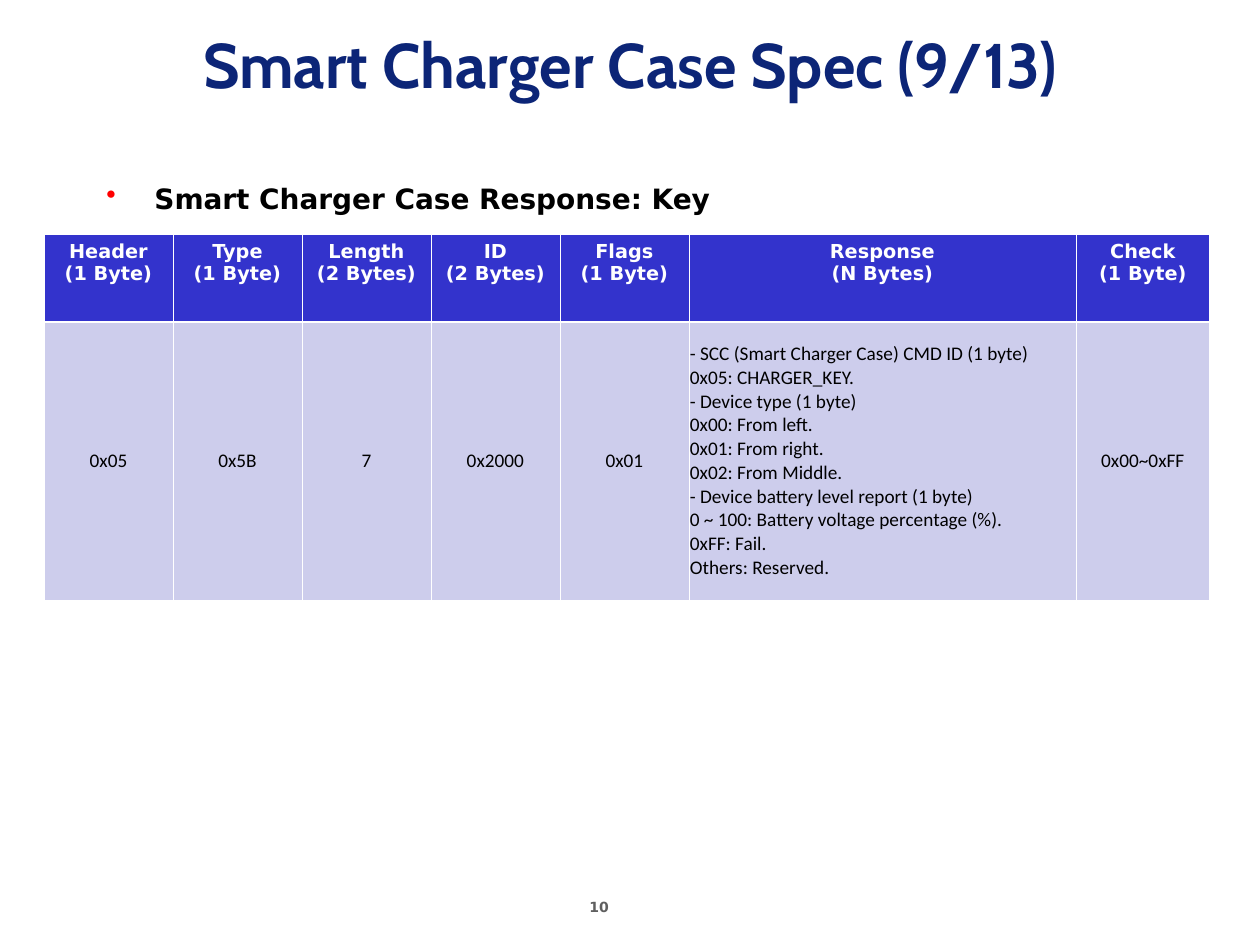
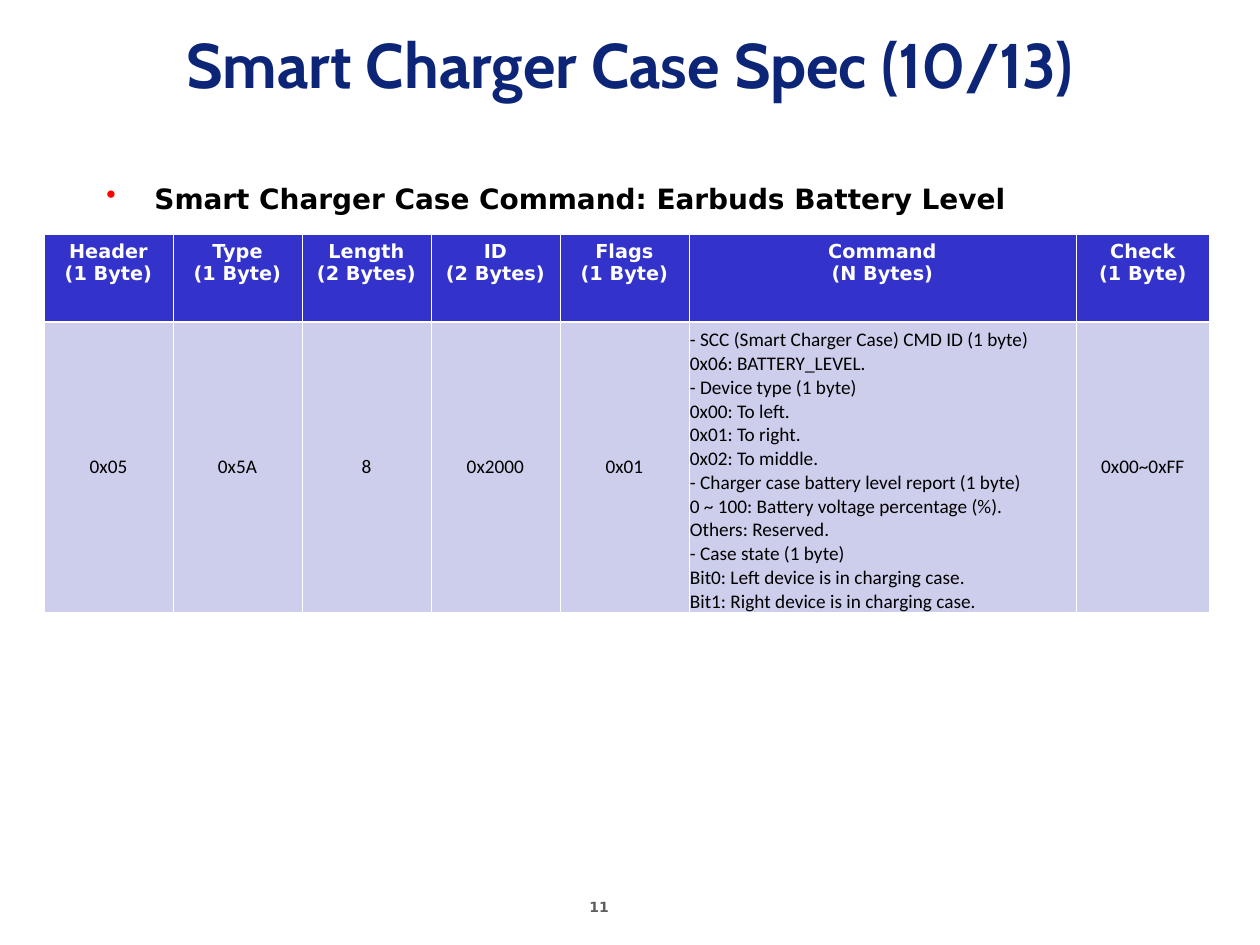
"""Build two slides that specify smart charger case messages."""
from lxml.etree import SubElement
from pptx import Presentation
from pptx.dml.color import RGBColor
from pptx.enum.text import MSO_ANCHOR, PP_ALIGN
from pptx.oxml import parse_xml
from pptx.oxml.ns import nsdecls, qn
from pptx.util import Pt

PX_PER_INCH = 126
NAVY = RGBColor(0x0C, 0x25, 0x77)
BLUE = RGBColor(0x33, 0x33, 0xCC)
LAVENDER = RGBColor(0xCD, 0xCD, 0xEC)
WHITE = RGBColor(0xFF, 0xFF, 0xFF)
BLACK = RGBColor(0x00, 0x00, 0x00)
RED = RGBColor(0xFF, 0x00, 0x00)
GRAY = RGBColor(0x5F, 0x5F, 0x5F)
SANS = "DejaVu Sans"
THIN, THICK = Pt(0.45), Pt(1.47)
COLUMN_WIDTHS = [129] * 5 + [387, 134]
ROW_HEIGHTS = [88, 278]
RESPONSE_COLUMN = 5

MESSAGES = [
    {
        "title": "Smart Charger Case Spec (9/13)",
        "topic": "Smart Charger Case Response: Key",
        "page": "10", "payload": "Response", "type": "0x5B", "length": "7",
        "details": [
            "- SCC (Smart Charger Case) CMD ID (1 byte)",
            "0x05: CHARGER_KEY.",
            "- Device type (1 byte)",
            "0x00: From left.",
            "0x01: From right.",
            "0x02: From Middle.",
            "- Device battery level report (1 byte)",
            "0 ~ 100: Battery voltage percentage (%).",
            "0xFF: Fail.",
            "Others: Reserved.",
        ],
    },
    {
        "title": "Smart Charger Case Spec (10/13)",
        "topic": "Smart Charger Case Command: Earbuds Battery Level",
        "page": "11", "payload": "Command", "type": "0x5A", "length": "8",
        "details": [
            "- SCC (Smart Charger Case) CMD ID (1 byte)",
            "0x06: BATTERY_LEVEL.",
            "- Device type (1 byte)",
            "0x00: To left.",
            "0x01: To right.",
            "0x02: To middle.",
            "- Charger case battery level report (1 byte)",
            "0 ~ 100: Battery voltage percentage (%).",
            "Others: Reserved.",
            "- Case state (1 byte)",
            "Bit0: Left device is in charging case.",
            "Bit1: Right device is in charging case.",
        ],
    },
]


def px(length):
    return round(length * 914400 / PX_PER_INCH)


def write(frame, lines, font, size, color, bold=True, align=PP_ALIGN.LEFT):
    frame.word_wrap = True
    frame.text = "\n".join(lines)
    for paragraph in frame.paragraphs:
        paragraph.alignment = align
        paragraph.font.name = font
        paragraph.font.size = Pt(size)
        paragraph.font.bold = bold
        paragraph.font.color.rgb = color


deck = Presentation()
deck.slide_width, deck.slide_height = px(1260), px(945)

for message in MESSAGES:
    slide = deck.slides.add_slide(deck.slide_layouts[6])

    page = slide.shapes.add_textbox(px(577), px(892), px(97), px(33))
    write(page.text_frame, [message["page"]], SANS, 8, GRAY)

    title = slide.shapes.add_textbox(0, 0, px(1260), px(126))
    write(title.text_frame, [message["title"]], "Cabin", 36, NAVY, align=PP_ALIGN.CENTER)
    title.text_frame.vertical_anchor = MSO_ANCHOR.MIDDLE

    topic = slide.shapes.add_textbox(px(94), px(175), px(1166), px(651))
    write(topic.text_frame, [message["topic"]], SANS, 16, BLACK)
    topic_line = topic.text_frame.paragraphs[0]
    topic_line.space_before = Pt(4)
    bullet = topic_line._p.get_or_add_pPr()
    bullet.set("marL", str(px(48)))
    bullet.set("indent", str(-px(48)))
    bullet.insert_element_before(
        parse_xml(f'<a:buClr {nsdecls("a")}><a:srgbClr val="{RED}"/></a:buClr>'),
        "a:buChar", "a:defRPr")
    bullet.insert_element_before(
        parse_xml(f'<a:buChar {nsdecls("a")} char="•"/>'), "a:defRPr")

    fields = [
        (["Header", "(1 Byte)"], ["0x05"]),
        (["Type", "(1 Byte)"], [message["type"]]),
        (["Length", "(2 Bytes)"], [message["length"]]),
        (["ID", "(2 Bytes)"], ["0x2000"]),
        (["Flags", "(1 Byte)"], ["0x01"]),
        ([message["payload"], "(N Bytes)"], message["details"]),
        (["Check", "(1 Byte)"], ["0x00~0xFF"]),
    ]
    layout = slide.shapes.add_table(
        2, len(fields), px(44), px(234), px(sum(COLUMN_WIDTHS)), px(sum(ROW_HEIGHTS))).table
    for row, height in zip(layout.rows, ROW_HEIGHTS):
        row.height = px(height)

    for index, (heading, value) in enumerate(fields):
        layout.columns[index].width = px(COLUMN_WIDTHS[index])
        heading_cell, value_cell = layout.cell(0, index), layout.cell(1, index)
        write(heading_cell.text_frame, heading, SANS, 11, WHITE, align=PP_ALIGN.CENTER)
        value_align = PP_ALIGN.LEFT if index == RESPONSE_COLUMN else PP_ALIGN.CENTER
        write(value_cell.text_frame, value, "Calibri", 11, BLACK, False, value_align)
        value_cell.vertical_anchor = MSO_ANCHOR.MIDDLE
        value_cell.margin_left = value_cell.margin_right = px(1)

        for cell, fill, top, bottom in [(heading_cell, BLUE, THIN, THICK),
                                        (value_cell, LAVENDER, THICK, THIN)]:
            cell.fill.solid()
            cell.fill.fore_color.rgb = fill
            borders = [("a:lnL", THIN), ("a:lnR", THIN), ("a:lnT", top), ("a:lnB", bottom)]
            properties = cell._tc.get_or_add_tcPr()
            for position, (side, width) in enumerate(borders):
                border = SubElement(properties, qn(side), w=str(width))
                color = SubElement(SubElement(border, qn("a:solidFill")), qn("a:srgbClr"))
                color.set("val", str(WHITE))
                properties.insert(position, border)

deck.save("out.pptx")
